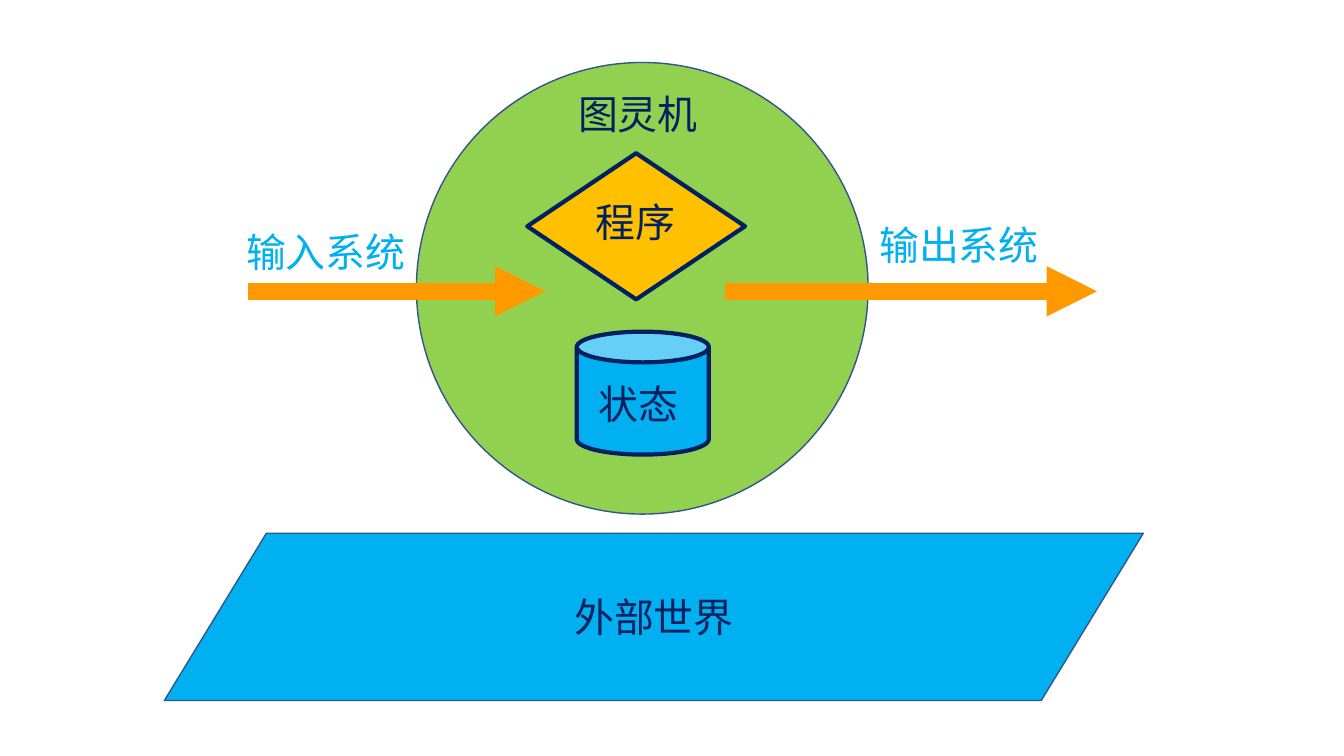
"""Draw a Turing machine between its input and output systems, above the outside world."""
from dataclasses import dataclass

from lxml import etree
from pptx import Presentation
from pptx import util as u
from pptx.dml.color import RGBColor
from pptx.enum import shapes, text
from pptx.oxml import ns

PX = 9144


@dataclass(frozen=True)
class Theme:
    """Colours, type size and line widths of the page."""
    navy: str = "002060"
    sky: str = "00B0F0"
    green: str = "92D050"
    gold: str = "FFC000"
    orange: str = "FF9900"
    edge: str = "325491"
    font: str = "Noto Sans CJK SC"
    size: float = 28.5
    thin: int = 1
    bold: int = 3
    arrow: int = 12


def add_words(frame, words, *, color, size, font):
    """Set one centred paragraph in the given format."""
    para = frame.paragraphs[0]
    para.alignment = text.PP_ALIGN.CENTER
    span = para.add_run()
    span.text = words
    span.font.size = u.Pt(size)
    span.font.name = font
    span.font.color.rgb = RGBColor.from_string(color)
    etree.SubElement(span._r.get_or_add_rPr(), ns.qn("a:ea"), typeface=font)


class Painter:
    """Hold the theme and the current page, and draw its elements."""

    def __init__(self, page, theme):
        self.page = page
        self.theme = theme

    def caption(self, frame, words, color):
        """Set words in the theme's type."""
        add_words(frame, words, color=color, size=self.theme.size, font=self.theme.font)

    def stroke(self, line, color, width):
        """Colour a line and set its width."""
        line.color.rgb = RGBColor.from_string(color)
        line.width = u.Pt(width)

    def shape(self, kind, place, fill, edge, width):
        """Draw a filled preset shape."""
        shape = self.page.shapes.add_shape(kind, *(n * PX for n in place))
        shape.shadow.inherit = False
        shape.fill.solid()
        shape.fill.fore_color.rgb = RGBColor.from_string(fill)
        self.stroke(shape.line, edge, width)
        return shape

    def arrow(self, left, right, y):
        """Draw a thick level arrow pointing right."""
        arrow = self.page.shapes.add_connector(
            shapes.MSO_CONNECTOR.STRAIGHT, left * PX, y * PX, right * PX, y * PX)
        self.stroke(arrow.line, self.theme.orange, self.theme.arrow)
        props = arrow._element.spPr
        etree.SubElement(props.find(ns.qn("a:ln")), ns.qn("a:tailEnd"), type="triangle")
        etree.SubElement(props, ns.qn("a:effectLst"))

    def label(self, words, left, top, width, color):
        """Place a one-line centred label."""
        box = self.page.shapes.add_textbox(left * PX, top * PX, width * PX, 58 * PX)
        box.text_frame.word_wrap = True
        box.text_frame.auto_size = text.MSO_AUTO_SIZE.SHAPE_TO_FIT_TEXT
        self.caption(box.text_frame, words, color)


def main():
    """Build and save the deck."""
    deck = Presentation()
    deck.slide_width, deck.slide_height = 1333 * PX, 750 * PX
    theme = Theme()
    painter = Painter(deck.slides.add_slide(deck.slide_layouts[6]), theme)
    kinds = shapes.MSO_SHAPE

    world = painter.shape(kinds.PARALLELOGRAM, (163, 529, 971, 166),
                          theme.sky, theme.edge, theme.thin)
    world.adjustments[0] = 0.61
    world.text_frame.vertical_anchor = text.MSO_ANCHOR.MIDDLE
    painter.caption(world.text_frame, "外部世界", theme.navy)

    painter.shape(kinds.OVAL, (413, 62, 448, 448), theme.green, theme.edge, theme.thin)
    for left, right in ((246, 541), (719, 1088)):
        painter.arrow(left, right, 289)
    painter.label("输入系统", 222, 221, 202, theme.sky)
    painter.label("输出系统", 850, 214, 202, theme.sky)

    painter.shape(kinds.CAN, (572, 329, 131, 122), theme.sky, theme.navy, theme.bold)
    painter.shape(kinds.FLOWCHART_DECISION, (523, 152, 216, 145),
                  theme.gold, theme.navy, theme.bold)
    painter.label("状态", 572, 372, 122, theme.navy)
    painter.label("程序", 541, 191, 179, theme.navy)
    painter.label("图灵机", 543, 84, 179, theme.navy)
    deck.save("out.pptx")


if __name__ == "__main__":
    main()
